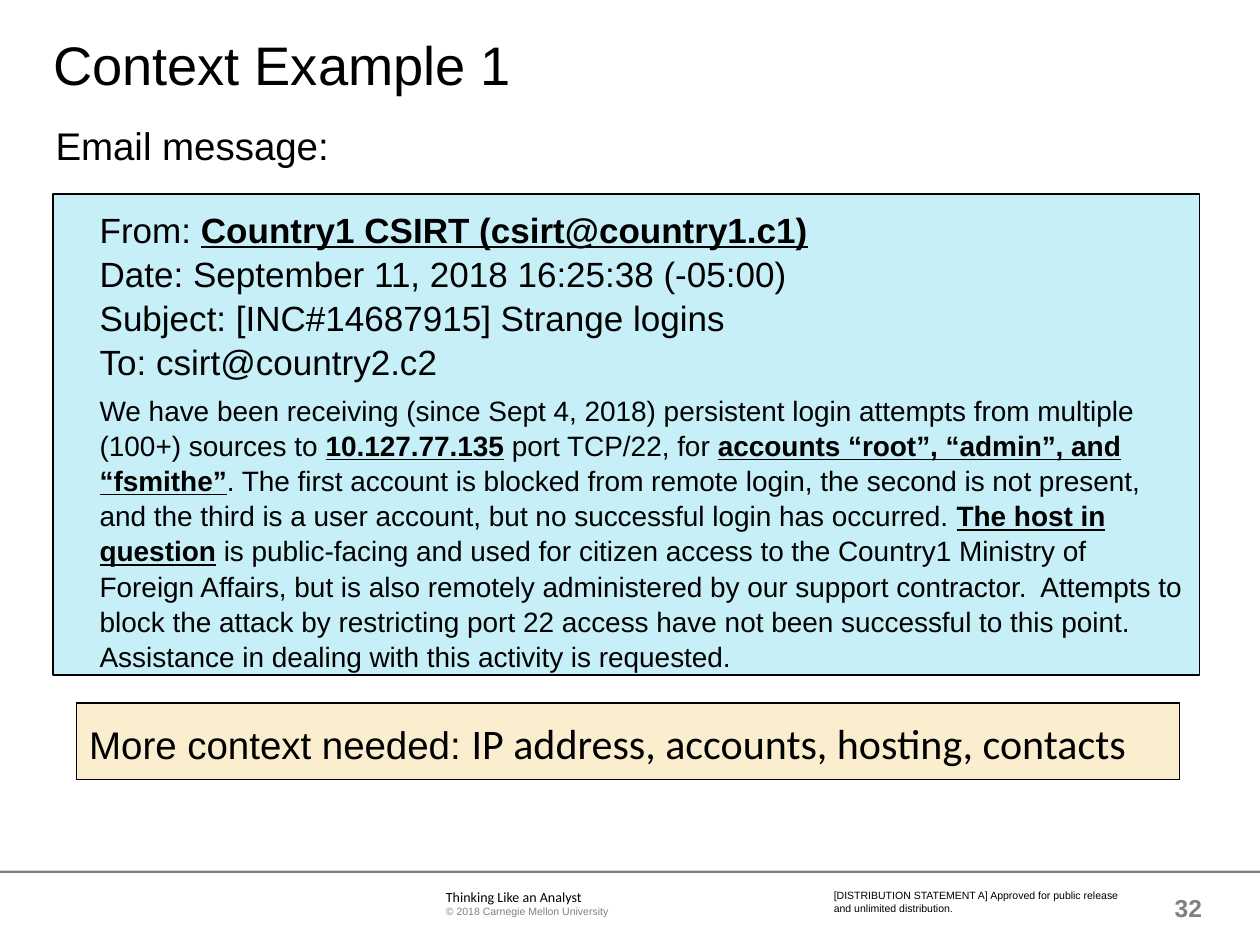
from pptx import Presentation
from pptx.dml.color import RGBColor
from pptx.enum.shapes import MSO_SHAPE as Shape
from pptx.enum.text import MSO_ANCHOR as Anchor, PP_ALIGN as Align
from pptx.util import Cm, Pt

BLACK = RGBColor(0x00, 0x00, 0x00)
GRAY = RGBColor(0x80, 0x80, 0x80)
WHITE = RGBColor(0xFF, 0xFF, 0xFF)
SKY = RGBColor(0xC6, 0xEF, 0xF7)
SAND = RGBColor(0xFB, 0xEE, 0xCF)

BASE = {"name": "Arial", "color": BLACK}
KEY = {"bold": True, "underline": True}
LOOSE = {"line_spacing": 1.05}

# Message content: (text, is a key phrase)
HEADER = [
    ("From: ", False),
    ("Country1 CSIRT (csirt@country1.c1)\n", True),
    ("Date: September 11, 2018 16:25:38 (-05:00)\n"
     "Subject: [INC#14687915] Strange logins\n"
     "To: csirt@country2.c2", False),
]
BODY = [
    ("We have been receiving (since Sept 4, 2018) persistent login attempts "
     "from multiple (100+) sources to ", False),
    ("10.127.77.135", True),
    (" port TCP/22, for ", False),
    ("accounts “root”, “admin”, and “fsmithe”", True),
    (". The first account is blocked from remote login, the second is not "
     "present, and the third is a user account, but no successful login has "
     "occurred. ", False),
    ("The host in question", True),
    (" is public-facing and used for citizen access to the Country1 Ministry "
     "of Foreign Affairs, but is also remotely administered by our support "
     "contractor.  Attempts to block the attack by restricting port 22 access "
     "have not been successful to this point. Assistance in dealing with this "
     "activity is requested.", False),
]


def message_spans(parts, size):
    return [(text, {"size": Pt(size), **(KEY if key else {})})
            for text, key in parts]


# Each part: place in cm (left, top, width, height), paragraphs of spans,
# then optional fill, insets in cm, indent in cm, anchor, paragraph formats
PARTS = [
    {"place": (23.11, 17.78, 1.12, 1.02), "anchor": Anchor.MIDDLE,
     "format": {"alignment": Align.RIGHT},
     "text": [[("32", {"size": Pt(14), "bold": True, "color": GRAY})]]},
    {"place": (8.99, 17.91, 7.42, 0.61),
     "text": [[("Thinking Like an Analyst",
                {"size": Pt(8), "name": "Calibri"})],
              [("© 2018 Carnegie Mellon University",
                {"size": Pt(6), "color": GRAY})]]},
    {"place": (16.81, 17.91, 5.82, 0.51), "format": LOOSE,
     "text": [[("[DISTRIBUTION STATEMENT A] Approved for public release "
                "and unlimited distribution.", {"size": Pt(6)})]]},
    {"place": (1.07, 0.64, 21.59, 2.44),
     "text": [[("Context Example 1", {"size": Pt(31)})]]},
    {"place": (1.12, 2.41, 12.17, 0.94), "format": LOOSE,
     "text": [[("Email message:", {"size": Pt(22)})]]},
    {"place": (1.55, 14.17, 22.23, 1.55), "fill": SAND, "format": LOOSE,
     "insets": (0.25, 0.25, 0, 0.25),
     "text": [[("More context needed: ", {"size": Pt(22)}),
               ("IP address, accounts, hosting, contacts",
                {"size": Pt(24), "name": "Calibri"})]]},
    {"place": (1.07, 3.91, 23.11, 9.7), "fill": SKY, "format": LOOSE,
     "insets": (0, 0.25, 0.25, 0), "indent": 0.94, "gap": Pt(5),
     "text": [message_spans(HEADER, 20), message_spans(BODY, 16)]},
]


def add_rectangle(page, place, fill, outlined):
    box = page.shapes.add_shape(Shape.RECTANGLE, *map(Cm, place))
    box.shadow.inherit = False
    box.fill.solid()
    box.fill.fore_color.rgb = fill
    if outlined:
        box.line.color.rgb = BLACK
        box.line.width = Pt(0.75)
    else:
        box.line.fill.background()
    return box


def add_span(para, text, formats):
    for index, line in enumerate(text.split("\n")):
        if index:
            para.add_line_break()
        if not line:
            continue
        span = para.add_run()
        span.text = line
        for key, value in {**BASE, **formats}.items():
            if key == "color":
                span.font.color.rgb = value
            else:
                setattr(span.font, key, value)


def add_part(page, part):
    if "fill" in part:
        box = add_rectangle(page, part["place"], part["fill"], True)
    else:
        box = page.shapes.add_textbox(*map(Cm, part["place"]))
    frame = box.text_frame
    frame.word_wrap = True
    frame.vertical_anchor = part.get("anchor", Anchor.TOP)
    for side, inset in zip(("left", "top", "right", "bottom"),
                           part.get("insets", (0, 0, 0, 0))):
        setattr(frame, f"margin_{side}", Cm(inset))

    for index, spans in enumerate(part["text"]):
        para = frame.add_paragraph() if index else frame.paragraphs[0]
        formats = {"alignment": Align.LEFT, **part.get("format", {})}
        for key, value in formats.items():
            setattr(para, key, value)
        if index and "gap" in part:
            para.space_before = part["gap"]
        if "indent" in part:
            properties = para._p.get_or_add_pPr()
            properties.set("marL", str(Cm(part["indent"])))
            properties.set("indent", "0")
        for text, span_formats in spans:
            add_span(para, text, span_formats)


def main():
    deck = Presentation()
    deck.slide_width, deck.slide_height = Cm(25.4), Cm(19.05)
    page = deck.slides.add_slide(deck.slide_layouts[6])
    page.background.fill.solid()
    page.background.fill.fore_color.rgb = WHITE

    # Footer rule
    add_rectangle(page, (0, 17.55, 25.4, 0.05), GRAY, False)

    # Text and message boxes
    for part in PARTS:
        add_part(page, part)

    deck.save("out.pptx")


if __name__ == "__main__":
    main()
